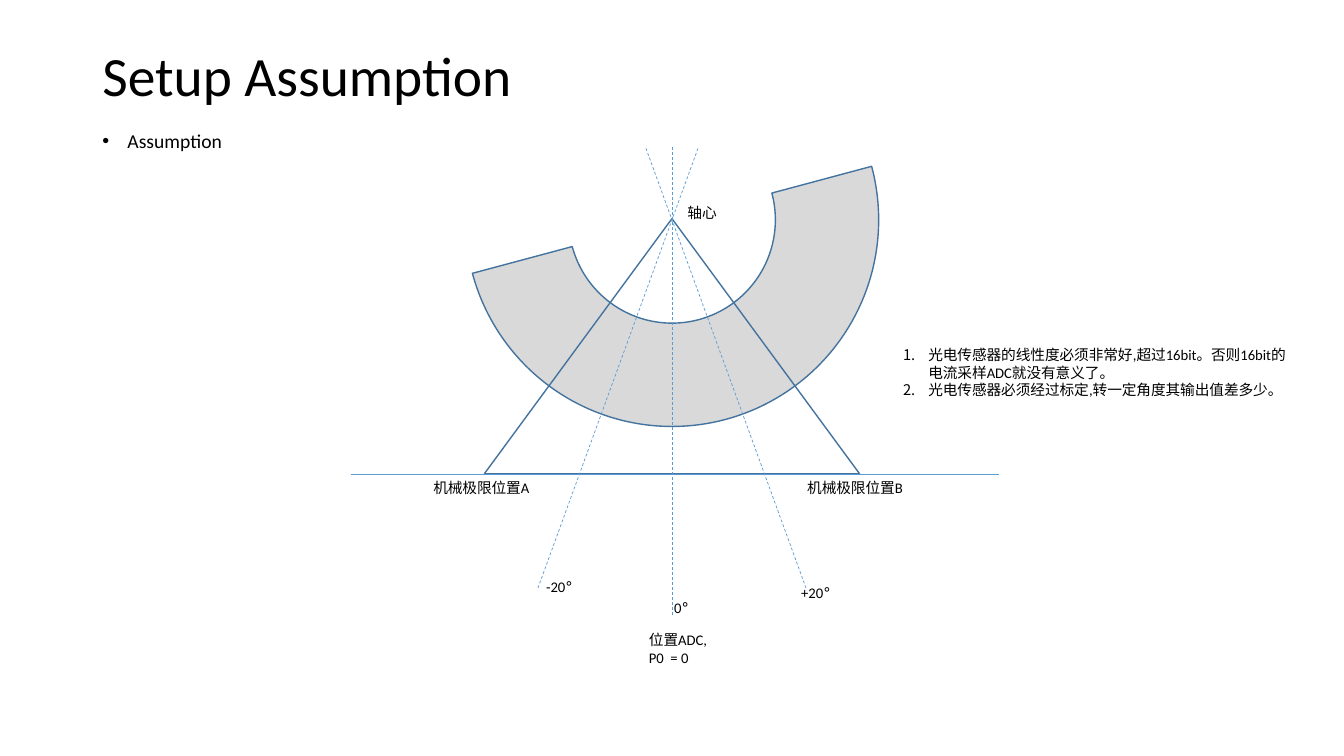
from dataclasses import dataclass
from math import radians, tan

from lxml import etree
from pptx import Presentation
from pptx.dml.color import RGBColor
from pptx.enum.dml import MSO_LINE
from pptx.enum.shapes import MSO_CONNECTOR, MSO_SHAPE
from pptx.enum.text import MSO_ANCHOR, MSO_AUTO_SIZE, PP_ALIGN
from pptx.oxml.ns import qn
from pptx.util import Pt

STRAIGHT = MSO_CONNECTOR.STRAIGHT
DASH = MSO_LINE.DASH
BLOCK_ARC = MSO_SHAPE.BLOCK_ARC
TRIANGLE = MSO_SHAPE.ISOSCELES_TRIANGLE
MIDDLE = MSO_ANCHOR.MIDDLE
LEFT = PP_ALIGN.LEFT
NO_AUTOFIT = MSO_AUTO_SIZE.NONE

COLORS = {"text": "000000", "sensor": "D9D9D9", "outline": "43739E", "guide": "5B9BD5"}
FONT = "Calibri"
DEGREE_FONT = "DejaVu Sans"
LABEL_SIZE = 10.5
INDENT = 18

# Geometry of the mechanism, in points
PIVOT_X, PIVOT_Y = 480, 157
SENSOR_RADIUS = 147.6
BASE_Y = 338.8
HALF_BASE = 134
SWING = 20


@dataclass(frozen=True)
class Label:
    left: float
    top: float
    width: float
    height: float
    lines: tuple[str, ...]
    size: float = LABEL_SIZE
    bullet: str = ""
    line_spacing: float = 1.0


@dataclass(frozen=True)
class Guide:
    start_x: float
    start_y: float
    end_x: float
    end_y: float
    dashed: bool = True


def color(name: str) -> RGBColor:
    return RGBColor.from_string(COLORS[name])


def add_run(paragraph, text: str, size: float, font: str = FONT) -> None:
    run = paragraph.add_run()
    run.text = text
    run.font.name = font
    run.font.size = Pt(size)
    run.font.color.rgb = color("text")


def set_bullet(paragraph, bullet: str) -> None:
    properties = paragraph._p.get_or_add_pPr()
    properties.set("marL", str(Pt(INDENT)))
    properties.set("indent", str(-Pt(INDENT)))
    if bullet == "number":
        etree.SubElement(properties, qn("a:buFont"), typeface="+mj-lt")
        etree.SubElement(properties, qn("a:buAutoNum"), type="arabicPeriod")
    else:
        etree.SubElement(properties, qn("a:buFont"), typeface="Arial")
        etree.SubElement(properties, qn("a:buChar"), char=bullet)


def add_label(slide, label: Label) -> None:
    box = slide.shapes.add_textbox(
        Pt(label.left), Pt(label.top), Pt(label.width), Pt(label.height))
    frame = box.text_frame
    frame.word_wrap = True
    for index, line in enumerate(label.lines):
        paragraph = frame.add_paragraph() if index else frame.paragraphs[0]
        paragraph.line_spacing = label.line_spacing
        if label.bullet:
            set_bullet(paragraph, label.bullet)
        number, degree, _ = line.partition("°")
        add_run(paragraph, number, label.size)
        if degree:
            add_run(paragraph, degree, label.size, DEGREE_FONT)


def add_guide(slide, guide: Guide) -> None:
    connector = slide.shapes.add_connector(
        STRAIGHT, Pt(guide.start_x), Pt(guide.start_y), Pt(guide.end_x), Pt(guide.end_y))
    connector.line.color.rgb = color("guide")
    connector.line.width = Pt(0.5)
    if guide.dashed:
        connector.line.dash_style = DASH
    etree.SubElement(connector._element.spPr, qn("a:effectLst"))


def add_outline(slide, kind, left: float, top: float, width: float, height: float):
    shape = slide.shapes.add_shape(kind, Pt(left), Pt(top), Pt(width), Pt(height))
    shape.shadow.inherit = False
    shape.fill.background()
    shape.line.color.rgb = color("outline")
    shape.line.width = Pt(1)
    return shape


def swing_guide(angle: float, top: float = 106, bottom: float = 421.5) -> Guide:
    slope = tan(radians(angle))
    return Guide(PIVOT_X + (top - PIVOT_Y) * slope, top,
                 PIVOT_X + (bottom - PIVOT_Y) * slope, bottom)


GUIDES = (
    Guide(250.5, BASE_Y + 0.3, 713.5, BASE_Y + 0.3, dashed=False),
    Guide(PIVOT_X, 105, PIVOT_X, 440.5),
    swing_guide(SWING),
    swing_guide(-SWING),
)

LABELS = (
    Label(66, 90.5, 828, 395.5, ("Assumption",), 14, "•", 0.9),
    Label(302.4, 338.4, 87, 20, ("机械极限位置A",)),
    Label(569.5, 338.4, 87, 20, ("机械极限位置B",)),
    Label(484, 141.8, 87, 20, ("轴心",)),
    Label(383, 409, 38, 20, ("-20°",)),
    Label(565.2, 413.5, 38, 20, ("+20°",)),
    Label(474.5, 424, 38, 20, ("0°",)),
    Label(456.5, 447, 56, 32.5, ("位置ADC,", "P0  = 0")),
    Label(638, 243.4, 288.7, 70.5, (
        "光电传感器的线性度必须非常好,超过16bit。否则16bit的电流采样ADC就没有意义了。".replace(",", ","),
        "光电传感器必须经过标定,转一定角度其输出值差多少。".replace(",", ","),
    ), bullet="number"),
)

presentation = Presentation()
presentation.slide_width, presentation.slide_height = Pt(960), Pt(540)
slide = presentation.slides.add_slide(presentation.slide_layouts[5])

# Title
title = slide.shapes.title
title.left, title.top, title.width, title.height = Pt(66), Pt(29), Pt(828), Pt(54)
title.text_frame.auto_size = NO_AUTOFIT
title.text_frame.vertical_anchor = MIDDLE
heading = title.text_frame.paragraphs[0]
heading.alignment = LEFT
heading.line_spacing = 0.9
add_run(heading, "Setup Assumption", 39.6)

# Sensor ring and the triangle of mechanical limits
sensor = add_outline(slide, BLOCK_ARC, PIVOT_X - SENSOR_RADIUS, PIVOT_Y - SENSOR_RADIUS,
                     2 * SENSOR_RADIUS, 2 * SENSOR_RADIUS)
sensor.rotation = 165
sensor.fill.solid()
sensor.fill.fore_color.rgb = color("sensor")
add_outline(slide, TRIANGLE, PIVOT_X - HALF_BASE, PIVOT_Y - 0.8,
            2 * HALF_BASE, BASE_Y - PIVOT_Y + 0.4)

# Guides and labels
for guide in GUIDES:
    add_guide(slide, guide)
for label in LABELS:
    add_label(slide, label)

presentation.save("out.pptx")
